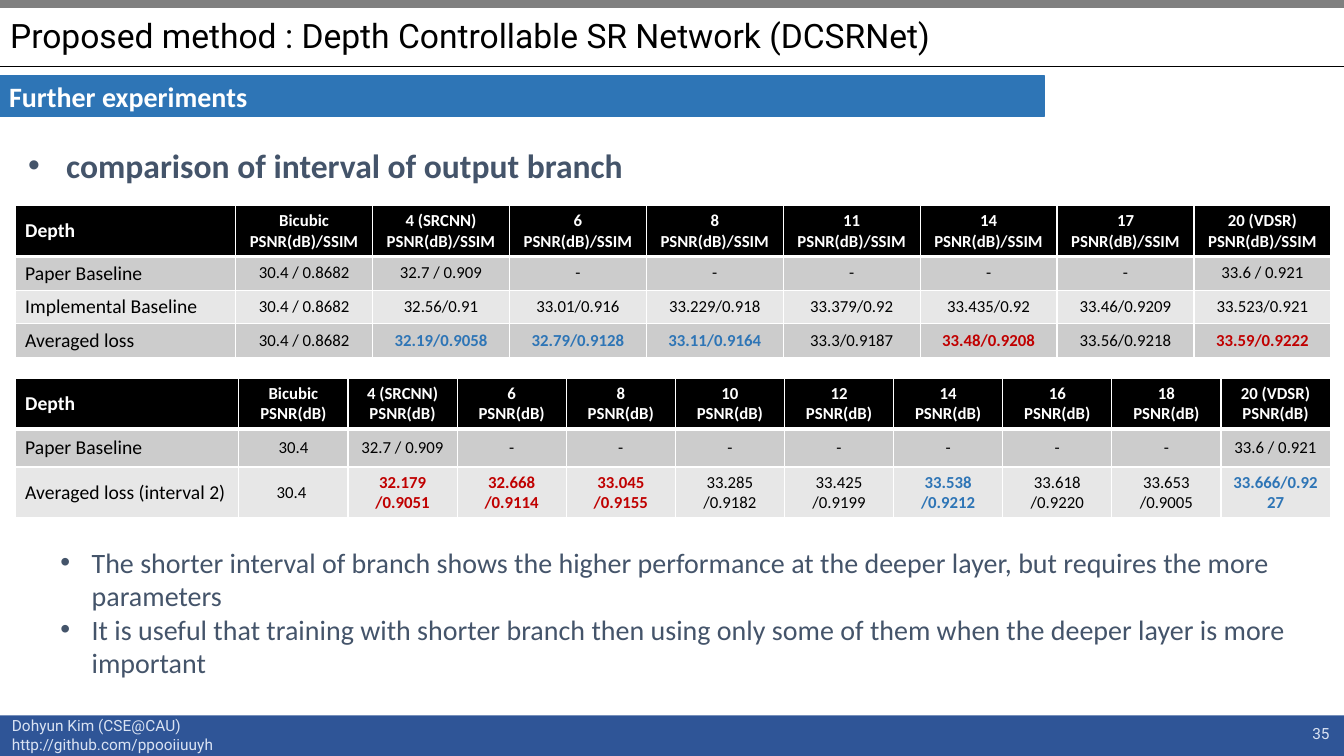
from lxml.etree import SubElement
from pptx import Presentation
from pptx.dml.color import RGBColor
from pptx.enum.shapes import MSO_CONNECTOR, MSO_SHAPE
from pptx.enum.text import MSO_ANCHOR, MSO_AUTO_SIZE, PP_ALIGN
from pptx.oxml.ns import qn
from pptx.util import Cm, Pt

WIDTH, HEIGHT = 33.87, 19.05
SLATE, BLUE, RED, PALE = "44546A", "2E75B6", "C00000", "DAE3F3"

DEPTHS = ["4 (SRCNN)", "6", "8", "11", "14", "17", "20 (VDSR)"]
BRANCH_ROWS = [
    ["Depth", "Bicubic\nPSNR(dB)/SSIM"] + [d + "\nPSNR(dB)/SSIM" for d in DEPTHS],
    ["Paper Baseline", "30.4 / 0.8682", "32.7 / 0.909"] + ["-"] * 5 + ["33.6 / 0.921"],
    ["Implemental Baseline", "30.4 / 0.8682", "32.56/0.91", "33.01/0.916", "33.229/0.918",
     "33.379/0.92", "33.435/0.92", "33.46/0.9209", "33.523/0.921"],
    ["Averaged loss", "30.4 / 0.8682", "32.19/0.9058", "32.79/0.9128", "33.11/0.9164",
     "33.3/0.9187", "33.48/0.9208", "33.56/0.9218", "33.59/0.9222"],
]
BRANCH_MARKS = {(3, 2): BLUE, (3, 3): BLUE, (3, 4): BLUE, (3, 6): RED, (3, 8): RED}

SHORT_DEPTHS = ["4 (SRCNN)", "6", "8", "10", "12", "14", "16", "18", "20 (VDSR)"]
SHORT_ROWS = [
    ["Depth", "Bicubic\nPSNR(dB)"] + [d + "\nPSNR(dB)" for d in SHORT_DEPTHS],
    ["Paper Baseline", "30.4", "32.7 / 0.909"] + ["-"] * 7 + ["33.6 / 0.921"],
    ["Averaged loss (interval 2)", "30.4 ", "32.179\n/0.9051", "32.668\n/0.9114",
     "33.045\n/0.9155", "33.285\n/0.9182", "33.425\n/0.9199", "33.538\n/0.9212",
     "33.618\n/0.9220", "33.653\n/0.9005", "33.666/0.9227"],
]
SHORT_MARKS = {(2, 2): RED, (2, 3): RED, (2, 4): RED, (2, 7): BLUE, (2, 10): BLUE}


def rgb(color):
    return RGBColor.from_string(color)


def format_text(tf, size, color, font="Calibri", bold=False, align=PP_ALIGN.LEFT):
    for p in tf.paragraphs:
        p.alignment = align
        for r in p.runs:
            r.font.size = Pt(size)
            r.font.name = font
            r.font.bold = bold
            r.font.color.rgb = rgb(color)


def add_bar(s, x, y, w, h, color, outlined=True):
    sp = s.shapes.add_shape(MSO_SHAPE.RECTANGLE, Cm(x), Cm(y), Cm(w), Cm(h))
    sp.shadow.inherit = False
    sp.fill.solid()
    sp.fill.fore_color.rgb = rgb(color)
    if outlined:
        sp.line.color.rgb = rgb(color)
        sp.line.width = Pt(1)
    else:
        sp.line.fill.background()
    return sp


def add_rule(s, y):
    line = s.shapes.add_connector(MSO_CONNECTOR.STRAIGHT, 0, Cm(y), Cm(WIDTH), Cm(y))
    line.line.color.rgb = rgb("000000")
    line.line.width = Pt(0.5)
    SubElement(line._element.spPr, qn("a:effectLst"))


def add_text(s, x, y, w, h, text, wrap=True, anchor=MSO_ANCHOR.TOP, **style):
    tf = s.shapes.add_textbox(Cm(x), Cm(y), Cm(w), Cm(h)).text_frame
    tf.word_wrap = wrap
    tf.vertical_anchor = anchor
    tf.text = text
    format_text(tf, **style)
    return tf


def add_bullets(tf, indent):
    for p in tf.paragraphs:
        pPr = p._p.get_or_add_pPr()
        pPr.set("marL", str(Cm(indent)))
        pPr.set("indent", str(-Cm(indent)))
        SubElement(pPr, qn("a:buFont"), typeface="Arial")
        SubElement(pPr, qn("a:buChar"), char="•")


def set_borders(cell, bottom):
    tcPr = cell._tc.get_or_add_tcPr()
    for side, width in (("L", 1), ("R", 1), ("T", 1), ("B", bottom)):
        ln = SubElement(tcPr, qn("a:ln" + side), w=str(Pt(width)))
        SubElement(SubElement(ln, qn("a:solidFill")), qn("a:srgbClr"), val="FFFFFF")


def add_results(s, y, first_width, col_width, heights, rows, marks):
    n_cols = len(rows[0])
    width = first_width + col_width * (n_cols - 1)
    table = s.shapes.add_table(len(rows), n_cols, Cm(0.38), Cm(y),
                               Cm(width), Cm(sum(heights))).table
    for j, column in enumerate(table.columns):
        column.width = Cm(col_width if j else first_width)
    for i, row in enumerate(rows):
        table.rows[i].height = Cm(heights[i])
        header = i == 0
        fill = "000000" if header else "CCCCCC" if i % 2 else "E7E7E7"
        for j, text in enumerate(row):
            cell = table.cell(i, j)
            set_borders(cell, 3 if header else 1)
            cell.fill.solid()
            cell.fill.fore_color.rgb = rgb(fill)
            cell.vertical_anchor = MSO_ANCHOR.MIDDLE
            cell.text_frame.text = text
            color = marks.get((i, j), "FFFFFF" if header else "000000")
            format_text(cell.text_frame, 12 if j else 14, color,
                        bold=header or (i, j) in marks,
                        align=PP_ALIGN.CENTER if j else PP_ALIGN.LEFT)


def set_title(s, text):
    title = s.shapes.title
    title.left, title.top, title.width, title.height = Cm(0), Cm(0.23), Cm(29.64), Cm(1.45)
    tf = title.text_frame
    tf.text = text
    tf.auto_size = MSO_AUTO_SIZE.NONE
    tf.vertical_anchor = MSO_ANCHOR.MIDDLE
    tf.paragraphs[0].line_spacing = 0.9
    format_text(tf, 24, "000000", "Roboto")


def main():
    prs = Presentation()
    prs.slide_width, prs.slide_height = Cm(WIDTH), Cm(HEIGHT)
    s = prs.slides.add_slide(prs.slide_layouts[5])

    # Frame and footer
    add_bar(s, 0, 18.03, WIDTH, 1.02, "2F5597", outlined=False)
    add_bar(s, 0, 0, WIDTH, 0.18, "808080")
    add_rule(s, 1.66)
    add_text(s, 0.05, 17.93, 5.64, 1.19,
             "Dohyun Kim (CSE@CAU)\nhttp://github.com/ppooiiuuyh",
             wrap=False, size=11, color=PALE, font="Roboto")
    add_text(s, 26.14, 17.98, 7.62, 1.02, "35", anchor=MSO_ANCHOR.MIDDLE,
             size=11, color=PALE, font="Roboto", align=PP_ALIGN.RIGHT)

    # Title and section heading
    set_title(s, "Proposed method : Depth Controllable SR Network (DCSRNet)")
    tf = add_bar(s, 0, 1.91, 26.31, 1.02, BLUE).text_frame
    tf.text = "Further experiments"
    tf.vertical_anchor = MSO_ANCHOR.MIDDLE
    tf.margin_left = tf.margin_right = Cm(0.23)
    tf.margin_top = tf.margin_bottom = Cm(0.1)
    format_text(tf, 20, "FFFFFF", bold=True)

    # Comparison tables
    tf = add_text(s, 0.46, 3.53, 16.99, 1.27, "comparison of interval of output branch",
                  size=24, color=SLATE, bold=True)
    add_bullets(tf, 0.96)
    add_results(s, 5.18, 5.56, 3.45, [1.28, 0.85, 0.85, 0.85], BRANCH_ROWS, BRANCH_MARKS)
    add_results(s, 9.53, 5.64, 2.75, [1.28, 0.96, 1.27], SHORT_ROWS, SHORT_MARKS)

    # Conclusions
    tf = add_text(
        s, 1.27, 13.61, 31.67, 3.68,
        "The shorter interval of branch shows the higher performance at the deeper layer, "
        "but requires the more parameters\n"
        "It is useful that training with shorter branch then using only some of them "
        "when the deeper layer is more important",
        size=20, color=SLATE)
    add_bullets(tf, 0.79)

    prs.save("out.pptx")


if __name__ == "__main__":
    main()
